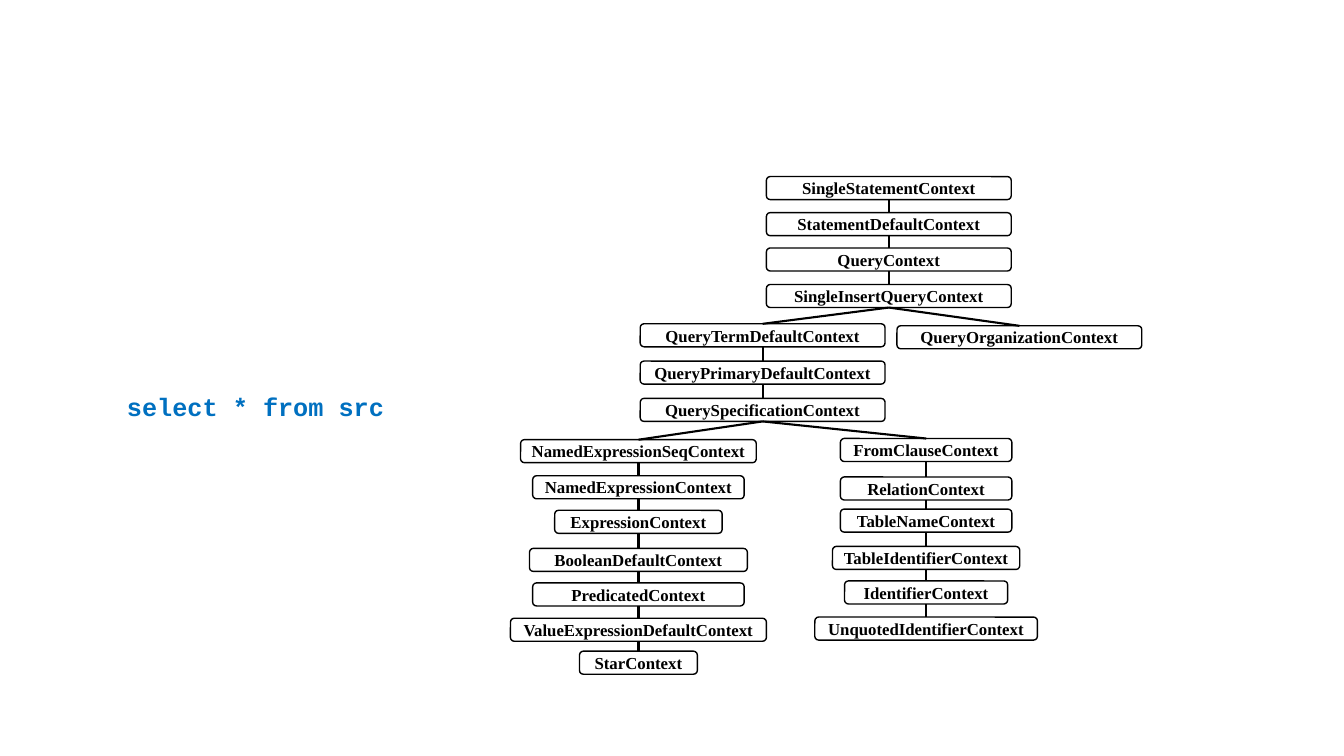
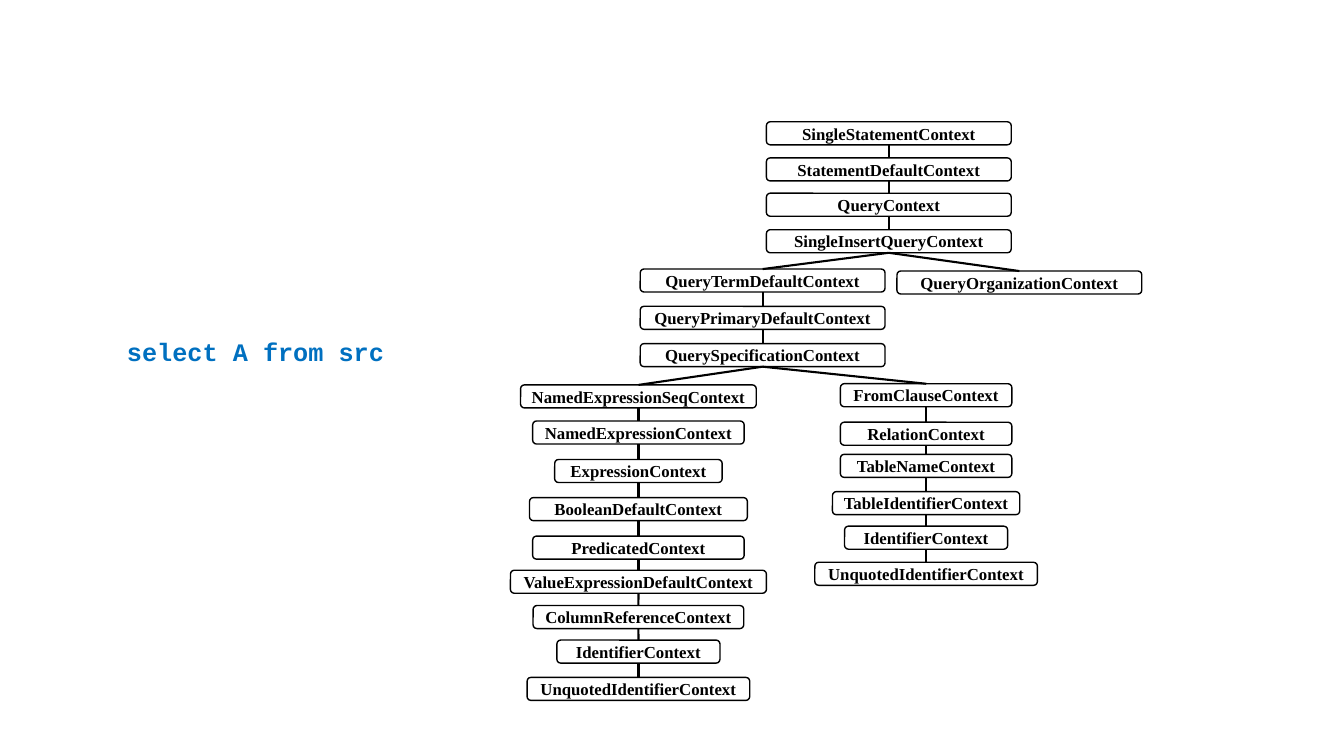
from lxml.etree import SubElement
from pptx import Presentation
from pptx.dml.color import RGBColor
from pptx.enum.shapes import MSO_CONNECTOR, MSO_SHAPE
from pptx.enum.text import MSO_ANCHOR, PP_ALIGN
from pptx.oxml.ns import qn
from pptx.util import Cm, Pt

# Shared formats
INK, PAPER, QUERY = "000000", "FFFFFF", "0070C0"
NODE_FONT = {"name": "Times New Roman", "size": Pt(12), "bold": True}
QUERY_FONT = {"name": "Courier New", "size": Pt(18), "bold": True}
NO_MARGINS = {"margin_left": 0, "margin_right": 0, "margin_top": 0, "margin_bottom": 0}
BOTTOM, TOP = 2, 0  # connection sites of a node

# Tree measures in cm, relative to the left top corner of the tree
TREE_LEFT = 12.9
NODE_H, NODE_W = 0.58, 6.17
WIDTHS = {
    "NamedExpressionSeq": 5.94, "NamedExpression": 5.33, "Expression": 4.22,
    "BooleanDefault": 5.49, "Predicated": 5.33, "ValueExpressionDefault": 6.45,
    "Star": 2.97, "ColumnReference": 5.31, "FromClause": 4.32, "Relation": 4.32,
    "TableName": 4.32, "TableIdentifier": 4.72, "Identifier": 4.11,
    "UnquotedIdentifier": 5.61,
}

# Branches: (centre x, [(name, top), ...])
TRUNK = (9.5, [("SingleStatement", 0), ("StatementDefault", 0.91),
               ("Query", 1.8), ("SingleInsertQuery", 2.72)])
TERM = (6.32, [("QueryTermDefault", 3.71), ("QueryPrimaryDefault", 4.65),
               ("QuerySpecification", 5.59)])
ORGANIZATION = (12.79, [("QueryOrganization", 3.76)])
FROM = (10.44, [("FromClause", 6.6), ("Relation", 7.57), ("TableName", 8.38),
                ("TableIdentifier", 9.32), ("Identifier", 10.19),
                ("UnquotedIdentifier", 11.1)])
NAMED = [("NamedExpressionSeq", 6.63), ("NamedExpression", 7.54)]
STAR = (3.19, NAMED + [("Expression", 8.41), ("BooleanDefault", 9.37),
                       ("Predicated", 10.24), ("ValueExpressionDefault", 11.13),
                       ("Star", 11.96)])
COLUMN = (3.19, NAMED + [("Expression", 8.51), ("BooleanDefault", 9.47),
                         ("Predicated", 10.44), ("ValueExpressionDefault", 11.3),
                         ("ColumnReference", 12.19), ("Identifier", 13.06),
                         ("UnquotedIdentifier", 14)])

# Slides: (query, top of the tree, branch of the select list)
SLIDES = [("select * from src", 4.45, STAR), ("select A from src", 3.07, COLUMN)]


def rgb(color):
    return RGBColor.from_string(color)


def set_attrs(obj, values):
    for name, value in values.items():
        setattr(obj, name, value)


def set_line(line, width):
    line.color.rgb = rgb(INK)
    line.width = Pt(width)


def write(tf, text, font, color, align):
    p = tf.paragraphs[0]
    p.alignment = align
    r = p.add_run()
    r.text = text
    set_attrs(r.font, font)
    r.font.color.rgb = rgb(color)


def add_node(s, name, center, top):
    width = WIDTHS.get(name, NODE_W)
    sp = s.shapes.add_shape(MSO_SHAPE.ROUNDED_RECTANGLE, Cm(center - width / 2),
                            Cm(top), Cm(width), Cm(NODE_H))
    sp.shadow.inherit = False
    sp.fill.solid()
    sp.fill.fore_color.rgb = rgb(PAPER)
    set_line(sp.line, 1)
    set_attrs(sp.text_frame, {**NO_MARGINS, "word_wrap": False,
                              "vertical_anchor": MSO_ANCHOR.MIDDLE})
    write(sp.text_frame, name + "Context", NODE_FONT, INK, PP_ALIGN.CENTER)
    return sp


def link(s, parent, child):
    line = s.shapes.add_connector(MSO_CONNECTOR.STRAIGHT, 0, 0, 0, 0)
    line.begin_connect(parent, BOTTOM)
    line.end_connect(child, TOP)
    set_line(line.line, 1.5)
    SubElement(line._element.spPr, qn("a:effectLst"))


def add_branch(s, left, top, branch, parent=None):
    """Draw a chain of nodes below parent and return its last node."""
    center, nodes = branch
    for name, y in nodes:
        sp = add_node(s, name, left + center, top + y)
        if parent is not None:
            link(s, parent, sp)
        parent = sp
    return parent


def add_tree(s, left, top, select_list):
    insert_query = add_branch(s, left, top, TRUNK)
    add_branch(s, left, top, ORGANIZATION, insert_query)
    specification = add_branch(s, left, top, TERM, insert_query)
    for branch in (select_list, FROM):
        add_branch(s, left, top, branch, specification)


def add_query(s, left, top, text):
    tf = s.shapes.add_textbox(Cm(left), Cm(top), Cm(7.29), Cm(1.02)).text_frame
    tf.word_wrap = True
    write(tf, text, QUERY_FONT, QUERY, PP_ALIGN.LEFT)


def main():
    prs = Presentation()
    set_attrs(prs, {"slide_width": Cm(33.87), "slide_height": Cm(19.05)})
    for query, top, select_list in SLIDES:
        s = prs.slides.add_slide(prs.slide_layouts[6])
        add_query(s, 2.95, top + 5.28, query)
        add_tree(s, TREE_LEFT, top, select_list)
    prs.save("out.pptx")


if __name__ == "__main__":
    main()
